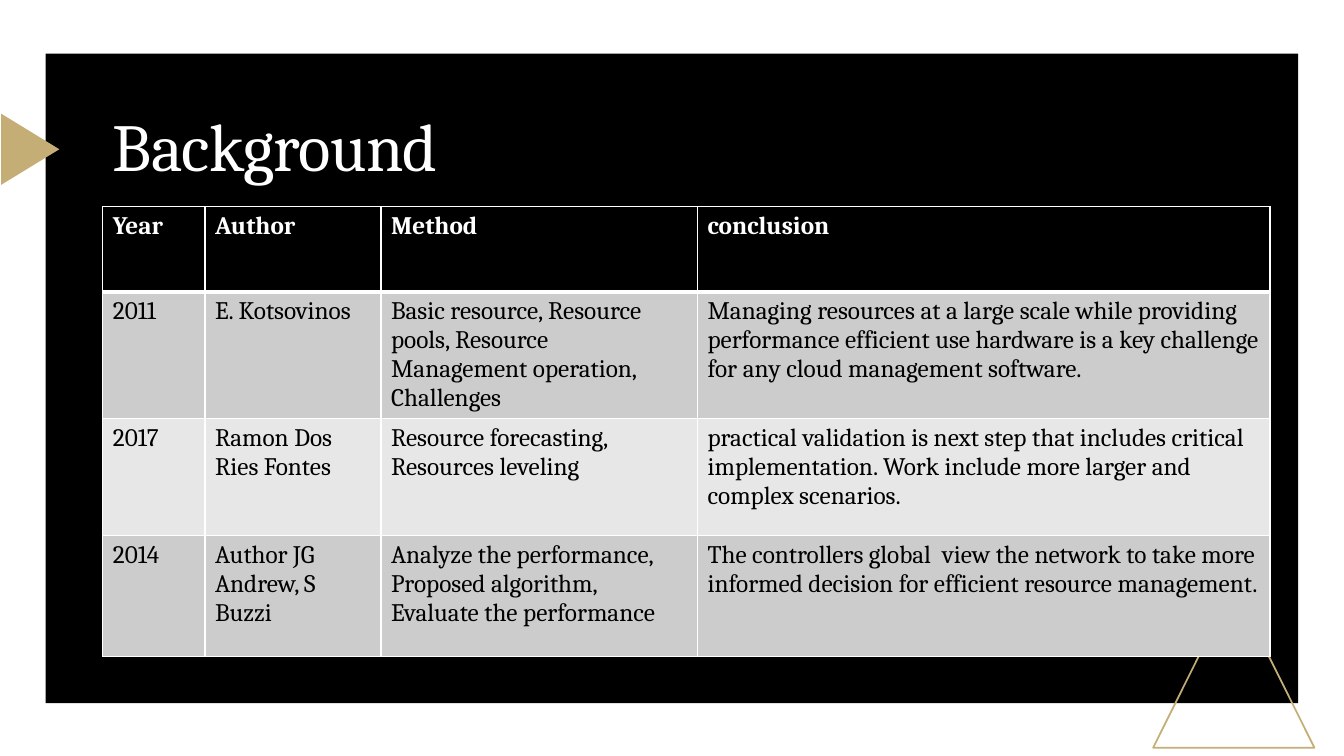
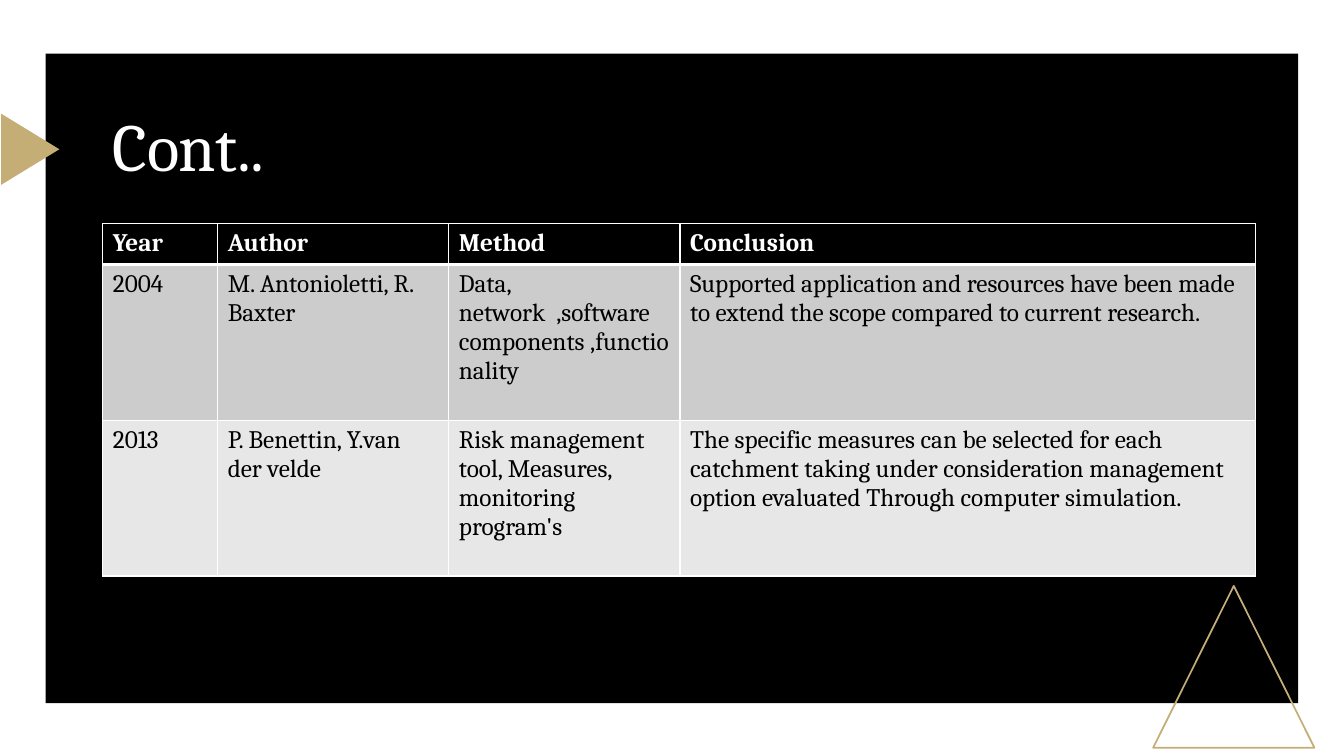
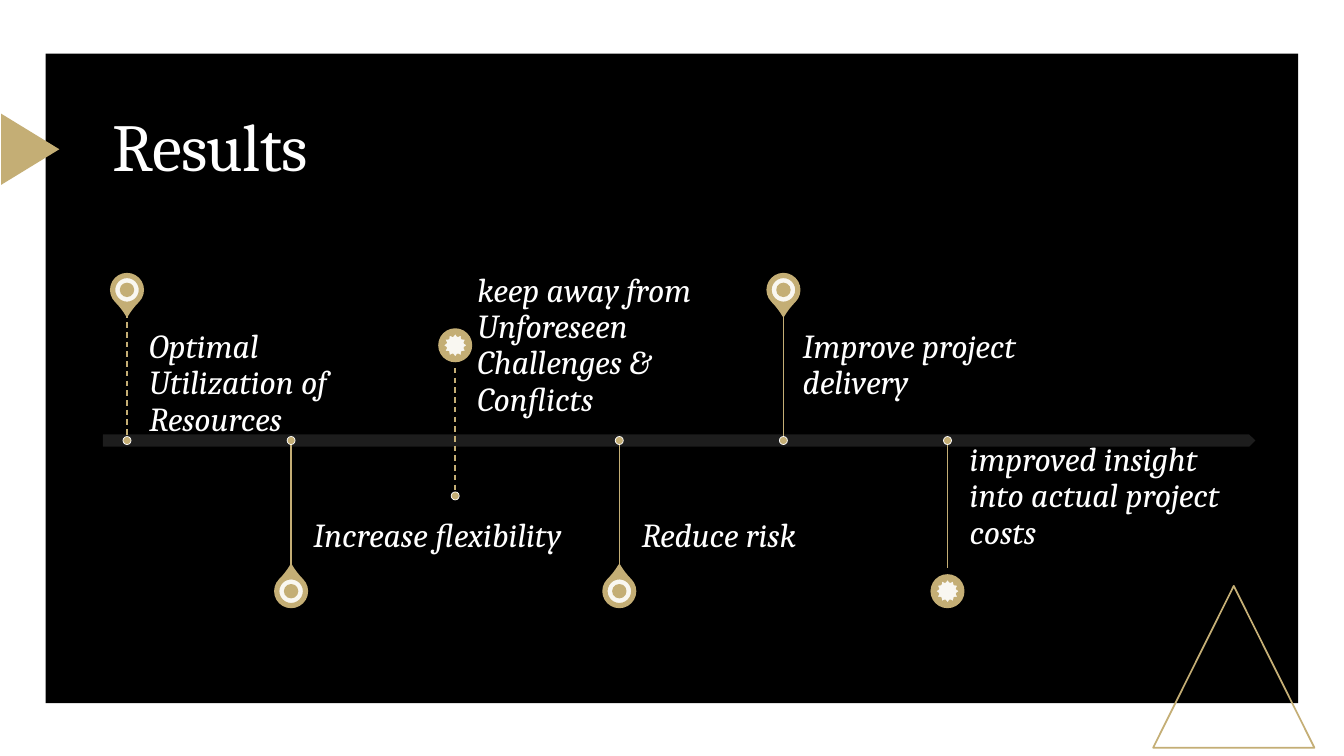
from dataclasses import dataclass

from lxml.etree import SubElement
from pptx import Presentation
from pptx.dml.color import RGBColor
from pptx.enum.dml import MSO_LINE
from pptx.enum.shapes import MSO_CONNECTOR, MSO_SHAPE as Preset
from pptx.enum.text import MSO_ANCHOR as Anchor, MSO_AUTO_SIZE, PP_ALIGN
from pptx.oxml import parse_xml
from pptx.oxml.ns import nsdecls, qn
from pptx.util import Inches, Pt


@dataclass(frozen=True)
class Theme:
    font: str = "Cambria"
    black: str = "000000"
    white: str = "FFFFFF"
    gold: str = "C4AE75"
    charcoal: str = "212121"
    bands: tuple = ("CCCCCC", "E7E7E7")
    title_size: float = 48
    label_size: float = 24
    table_size: float = 18


THEME = Theme()
SLIDE_WIDTH, SLIDE_HEIGHT = Inches(13.33), Inches(7.5)
LEFT, CONTENT_WIDTH = 7.65, 85.75  # shared content column

# Timeline grid, in percent of the slide
FIRST_STOP, STOP_PITCH = 9.45, 12.21
AXIS, STEM, PIN_GAP = 58.27, 16.93, 3
PIN_SIZE, ICON_SIZE, DOT_SIZE = 2.4, 1.88, 0.6


@dataclass(frozen=True)
class Stop:
    text: str
    above: bool
    star: bool = False
    dashed: bool = False
    drop: float = 0  # how far the whole marker sits below its usual place
    label_gap: float = 1.65
    label_width: float = 20.33


STOPS = (
    Stop("Optimal Utilization of Resources", True, dashed=True),
    Stop("Increase flexibility", False),
    Stop("keep away from Unforeseen Challenges & Conflicts", True,
         star=True, dashed=True, drop=7.33),
    Stop("Reduce risk", False),
    Stop("Improve project delivery", True, label_gap=1.43, label_width=20.85),
    Stop("improved insight into actual project costs", False, star=True),
)

BACKGROUND_ROWS = (
    ("Year", "Author", "Method", "conclusion"),
    ("2011", "E. Kotsovinos",
     "Basic resource, Resource pools, Resource Management operation, Challenges",
     "Managing resources at a large scale while providing performance efficient "
     "use hardware is a key challenge for any cloud management software."),
    ("2017", "Ramon Dos Ries Fontes", "Resource forecasting, Resources leveling",
     "practical validation is next step that includes critical implementation. "
     "Work include more larger and complex scenarios."),
    ("2014", "Author JG Andrew, S Buzzi",
     "Analyze the performance,  Proposed algorithm, Evaluate the performance",
     "The controllers global  view the network to take more informed decision "
     "for efficient resource management."),
)

CONTINUED_ROWS = (
    ("Year", "Author", "Method", "Conclusion"),
    ("2004", "M. Antonioletti, R.  Baxter",
     "Data, network  ,software components ,functionality",
     "Supported application and resources have been made to extend the scope "
     "compared to current research."),
    ("2013", "P. Benettin, Y.van der velde",
     "Risk management tool, Measures, monitoring program's",
     "The specific measures can be selected for each catchment taking under "
     "consideration management option evaluated Through computer simulation."),
)


# Grid helpers: percent of the slide's width and height
def across(percent):
    return round(SLIDE_WIDTH * percent / 100)


def down(percent):
    return round(SLIDE_HEIGHT * percent / 100)


def box(left, top, width, height):
    return across(left), down(top), across(width), down(height)


def centred_square(x, y, size):
    side = across(size)
    return across(x) - side // 2, down(y) - side // 2, side, side


# Basic elements
def rgb(colour):
    return RGBColor.from_string(colour)


def add_preset(slide, preset, place, fill=None, line=None, weight=1.25,
               rotation=0, opacity=None):
    shape = slide.shapes.add_shape(preset, *place)
    shape.shadow.inherit = False
    shape.rotation = rotation
    if fill:
        shape.fill.solid()
        shape.fill.fore_color.rgb = rgb(fill)
    else:
        shape.fill.background()
    if opacity:
        colour = shape.element.spPr.find(qn("a:solidFill"))[0]
        SubElement(colour, qn("a:alpha"), val=str(opacity * 1000))
    if line:
        shape.line.color.rgb = rgb(line)
        shape.line.width = Pt(weight)
    else:
        shape.line.fill.background()
    return shape


def add_run(paragraph, text, size, colour, bold=False, italic=False):
    run = paragraph.add_run()
    run.text = text
    font = run.font
    font.name, font.size = THEME.font, Pt(size)
    font.bold, font.italic = bold, italic
    font.color.rgb = rgb(colour)
    return run


def set_insets(frame, left, top, right, bottom):
    frame.margin_left, frame.margin_top = Inches(left), Inches(top)
    frame.margin_right, frame.margin_bottom = Inches(right), Inches(bottom)


def add_stem(slide, x, top, dashed):
    stem = slide.shapes.add_connector(
        MSO_CONNECTOR.STRAIGHT, across(x), down(top), across(x), down(top + STEM))
    stem.line.color.rgb = rgb(THEME.gold)
    stem.line.width = Pt(1)
    if dashed:
        stem.line.dash_style = MSO_LINE.DASH
    SubElement(stem.element.spPr, qn("a:effectLst"))


# Shared frame, kept on the layout
def add_frame(slide, layout):
    parts = (
        add_preset(slide, Preset.RECTANGLE, box(3.4, 7.1, 93.2, 85.9), THEME.black),
        add_preset(slide, Preset.ISOSCELES_TRIANGLE, box(85.8, 77.5, 12, 21.4),
                   line=THEME.gold),
        add_preset(slide, Preset.ISOSCELES_TRIANGLE, box(-0.4, 15.9, 5.3, 7.7),
                   THEME.gold, rotation=90),
    )
    for index, part in enumerate(parts, start=2):
        part.element.nvSpPr.cNvPr.set("id", str(100 + index))
        layout.shapes.element.insert(index, part.element)


def set_title(slide, text):
    title = slide.shapes.title
    title.left, title.top, title.width, title.height = box(
        LEFT, 13.1, CONTENT_WIDTH, 13.3)
    frame = title.text_frame
    frame.word_wrap = True
    frame.auto_size = MSO_AUTO_SIZE.NONE
    frame.vertical_anchor = Anchor.MIDDLE
    paragraph = frame.paragraphs[0]
    paragraph.alignment = PP_ALIGN.LEFT
    paragraph.line_spacing = 0.9
    run = add_run(paragraph, text, THEME.title_size, THEME.white)
    run.font._element.set("spc", "-50")


# Tables
def set_borders(cell, top, bottom):
    properties = cell._tc.get_or_add_tcPr()
    for index, (side, weight) in enumerate(
            (("L", 1), ("R", 1), ("T", top), ("B", bottom))):
        properties.insert(index, parse_xml(
            f'<a:ln{side} {nsdecls("a")} w="{Pt(weight)}"><a:solidFill>'
            f'<a:srgbClr val="{THEME.white}"/></a:solidFill></a:ln{side}>'))


def add_grid_table(slide, rows, top, widths, heights):
    table = slide.shapes.add_table(
        len(rows), len(widths), *box(LEFT, top, sum(widths), sum(heights))).table
    table.first_row = table.horz_banding = False
    for column, width in zip(table.columns, widths):
        column.width = across(width)
    for index, (row, height) in enumerate(zip(rows, heights)):
        table.rows[index].height = down(height)
        header = index == 0
        fill = THEME.black if header else THEME.bands[(index - 1) % 2]
        for cell, text in zip(table.rows[index].cells, row):
            cell.fill.solid()
            cell.fill.fore_color.rgb = rgb(fill)
            set_borders(cell, 3 if index == 1 else 1, 3 if header else 1)
            add_run(cell.text_frame.paragraphs[0], text, THEME.table_size,
                    THEME.white if header else THEME.black, bold=header)


# Timeline
def add_label(slide, stop, x):
    left = x + stop.label_gap
    if stop.drop:
        top, height, anchor, insets = 35.5, 20.5, Anchor.MIDDLE, (0, 0, 0.17, 0)
    elif stop.above:
        top, height, anchor = AXIS - STEM, STEM, Anchor.TOP
        insets = (0, 0.17, 0.17, 0.25)
    else:
        top, height, anchor, insets = AXIS, STEM, Anchor.BOTTOM, (0, 0.25, 0, 0.17)
    label = slide.shapes.add_textbox(*box(left, top, stop.label_width, height))
    frame = label.text_frame
    frame.word_wrap = True
    frame.vertical_anchor = anchor
    set_insets(frame, *insets)
    paragraph = frame.paragraphs[0]
    paragraph.line_spacing = 0.9
    add_run(paragraph, stop.text, THEME.label_size, THEME.white, italic=True)


def add_stop(slide, stop, x):
    base = AXIS + stop.drop
    stem_top = base - STEM if stop.above else base
    pin_y = stem_top - PIN_GAP if stop.above else stem_top + STEM + PIN_GAP
    pin = add_preset(slide, Preset.OVAL if stop.star else Preset.TEAR,
                     centred_square(x, pin_y, PIN_SIZE), THEME.gold, THEME.gold,
                     rotation=135 if stop.above else 315)
    if not stop.star:
        pin.adjustments[0] = 1.15
    add_preset(slide, Preset.STAR_12_POINT if stop.star else Preset.DONUT,
               centred_square(x, pin_y, ICON_SIZE), THEME.white, THEME.gold,
               opacity=90)
    add_label(slide, stop, x)
    add_stem(slide, x, stem_top, stop.dashed)
    add_preset(slide, Preset.OVAL, centred_square(x, base, DOT_SIZE),
               THEME.gold, THEME.white, weight=0.5)


def add_timeline(slide):
    add_preset(slide, Preset.PENTAGON, box(LEFT, AXIS - 0.8, CONTENT_WIDTH, 1.6),
               THEME.charcoal, opacity=90)
    for index, stop in enumerate(STOPS):
        add_stop(slide, stop, FIRST_STOP + index * STOP_PITCH)


def main():
    presentation = Presentation()
    presentation.slide_width, presentation.slide_height = SLIDE_WIDTH, SLIDE_HEIGHT
    layout = presentation.slide_layouts[5]
    background, continued, results = (
        presentation.slides.add_slide(layout) for _ in range(3))
    add_frame(background, layout)

    add_grid_table(background, BACKGROUND_ROWS, 27.3,
                   (7.6, 13.1, 23.55, 42.6), (11.3, 15.5, 15.5, 16))
    set_title(background, "Background")

    add_grid_table(continued, CONTINUED_ROWS, 29.6,
                   (8.55, 17.2, 17.2, 42.8), (5.4, 20.6, 20.6))
    set_title(continued, "Cont..")

    add_timeline(results)
    set_title(results, "Results")

    presentation.save("out.pptx")


main()
